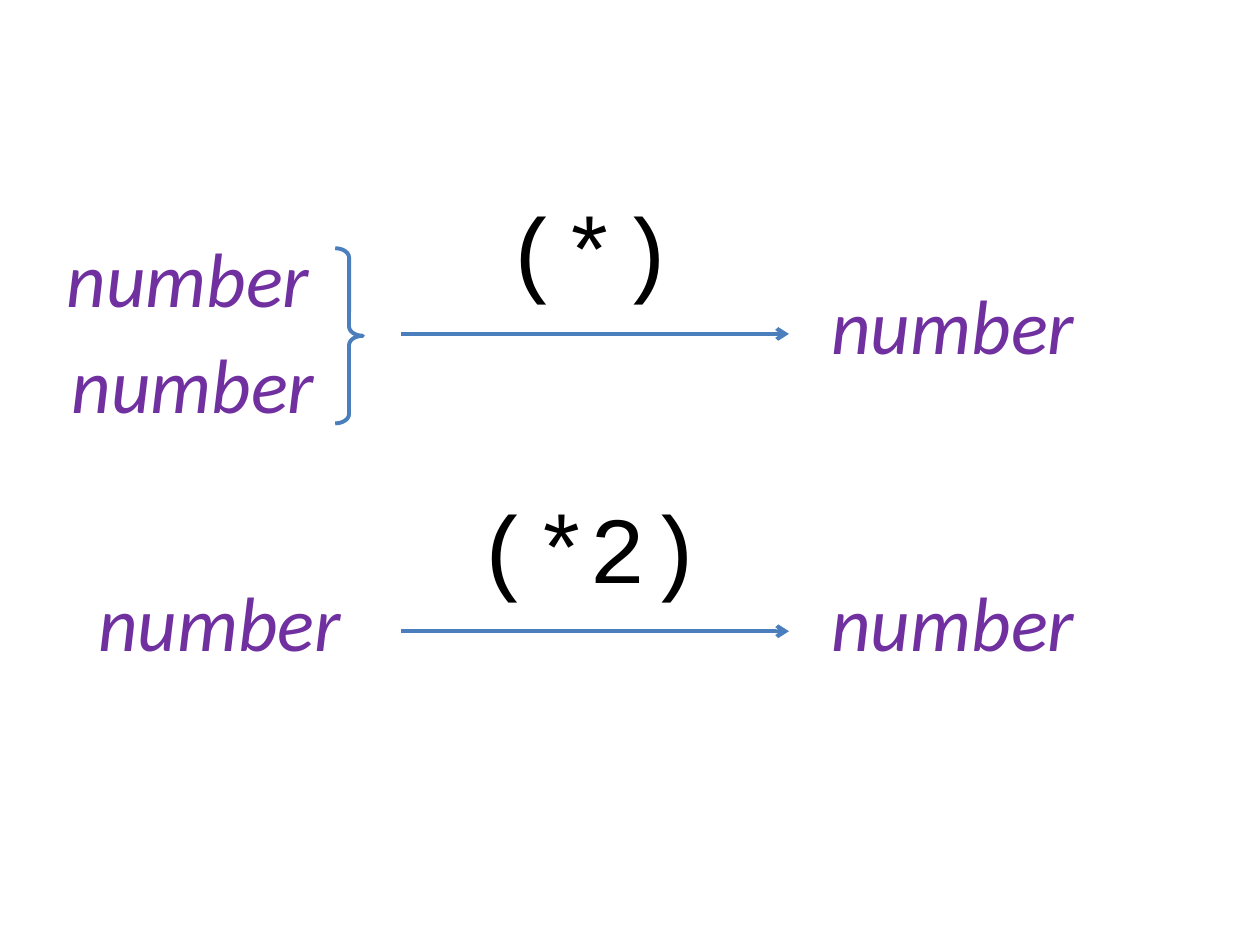
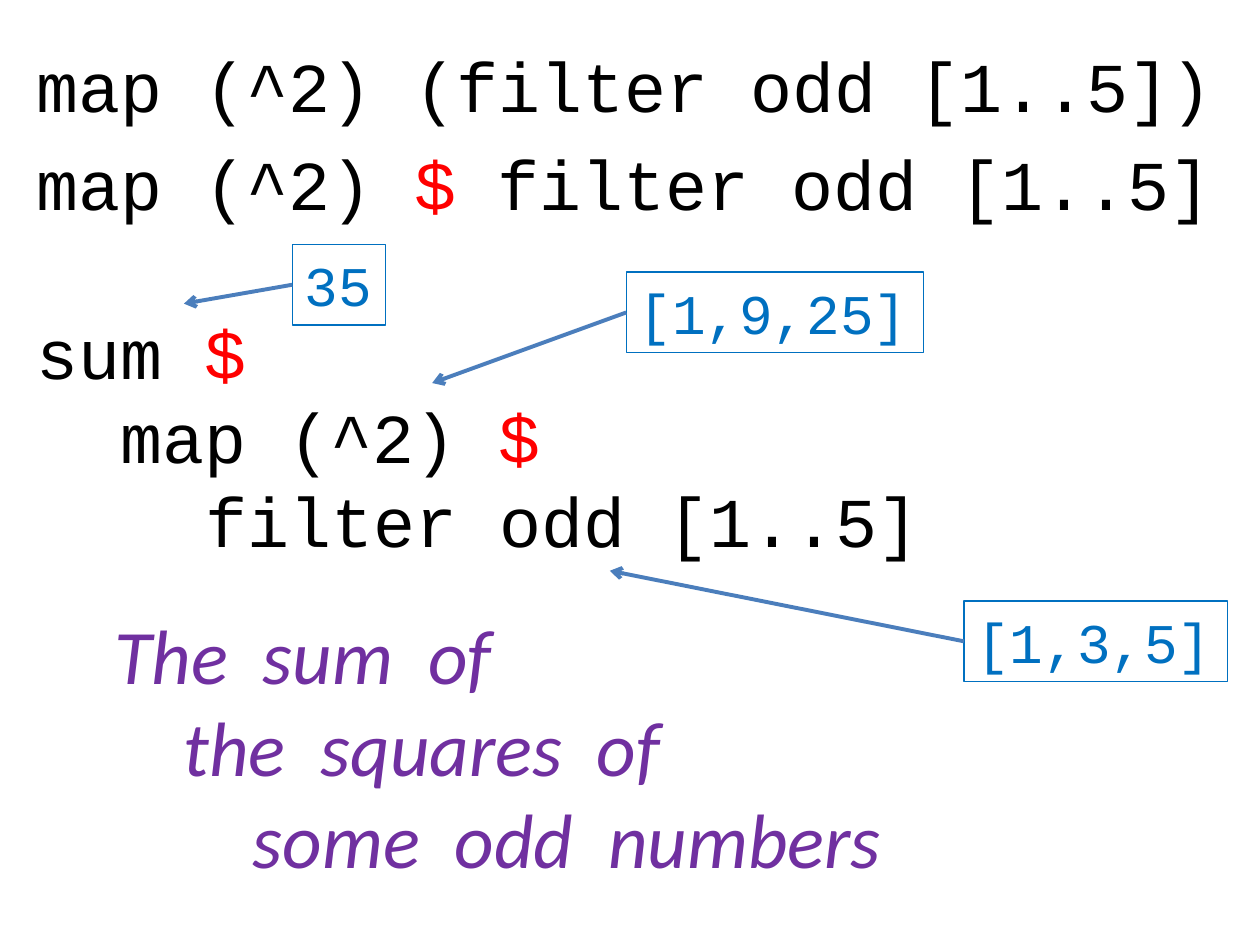
from dataclasses import dataclass
from pptx import Presentation, util as u
from pptx.dml.color import RGBColor
from pptx.enum import shapes, text
from pptx.oxml import parse_xml
from pptx.oxml.ns import nsdecls

BLACK = RGBColor(0x00, 0x00, 0x00)
RED = RGBColor(0xFF, 0x00, 0x00)
PURPLE = RGBColor(0x70, 0x30, 0xA0)
BLUE = RGBColor(0x00, 0x70, 0xC0)
STEEL = RGBColor(0x4B, 0x7E, 0xBC)
CODE, PROSE = "Courier New", "Calibri"
COLUMNS, ROWS = 10, 7.5  # the slide grid, in one-inch cells
INSET = 0.2  # left and right text margins together
WORD_W, WORD_H = 2.19, 0.84


@dataclass
class Box:
    left: float
    top: float
    width: float
    height: float

    @property
    def middle(self):
        return self.top + self.height / 2

    @property
    def right(self):
        return self.left + self.width

    def cells(self):
        return [u.Inches(v) for v in (self.left, self.top, self.width, self.height)]


def write(slide, box, lines, font, size, color, italic=False, step=0):
    """Write lines, each indented by one more step; every $ is red."""
    label = slide.shapes.add_textbox(*box.cells())
    frame = label.text_frame
    frame.word_wrap = step > 0
    frame.auto_size = text.MSO_AUTO_SIZE.SHAPE_TO_FIT_TEXT
    for level, line in enumerate(lines):
        paragraph = frame.add_paragraph() if level else frame.paragraphs[0]
        paragraph.font.name, paragraph.font.size = font, u.Pt(size)
        paragraph.font.italic = italic
        paragraph.font.color.rgb = color
        if level and step:
            paragraph._p.get_or_add_pPr().set("marL", str(u.Inches(level * step)))
        before, dollar, after = line.partition("$")
        for part, shade in ((before, color), (dollar, RED), (after, color)):
            if part:
                run = paragraph.add_run()
                run.text = part
                run.font.color.rgb = shade
    return label


def arrow(slide, start, end):
    line = slide.shapes.add_connector(
        shapes.MSO_CONNECTOR.STRAIGHT, *[u.Inches(v) for v in (*start, *end)])
    line.line.color.rgb = STEEL
    line.line.width = u.Pt(2.25)
    line.line._get_or_add_ln().append(
        parse_xml(f'<a:tailEnd {nsdecls("a")} type="arrow"/>'))
    line._element.spPr.append(parse_xml(f'<a:effectLst {nsdecls("a")}/>'))


def word(slide, left, top):
    write(slide, Box(left, top, WORD_W, WORD_H), ["number"], PROSE, 44, PURPLE, True)


def brace(slide, box):
    bracket = slide.shapes.add_shape(shapes.MSO_SHAPE.RIGHT_BRACE, *box.cells())
    bracket.adjustments[0] = 0.336
    bracket.shadow.inherit = False
    bracket.fill.background()
    bracket.line.color.rgb = STEEL
    bracket.line.width = u.Pt(2.25)


def mapping(slide, box, operator, input_lefts):
    """Inputs, an arrow named by its operator, and the result."""
    start, end = box.left + box.width / 3, box.left + 0.706 * box.width
    operator_w = 0.455 * len(operator) + INSET
    write(slide, Box((start + end - operator_w) / 2 - 0.03, box.top, operator_w, 1.01),
          [operator], CODE, 54, BLACK)
    arrow(slide, (start, box.middle), (end, box.middle))
    count = len(input_lefts)
    stack_top = box.middle - count * WORD_H / 2 - (0.03 if count > 1 else 0.08)
    for row, left in enumerate(input_lefts):
        word(slide, left, stack_top + row * WORD_H)
    if count > 1:
        brace(slide, Box(box.left + 0.27 * box.width, box.middle - 0.68, 0.22, 1.39))
    word(slide, box.right - WORD_W, box.middle - 0.5)


def callout(slide, left, top, value, target):
    """A framed value with an arrow to the code that yields it."""
    box = Box(left, top, 0.27 * len(value) + INSET, 0.64)
    frame = write(slide, box, [value], CODE, 32, BLUE)
    frame.line.color.rgb = BLUE
    frame.line.width = u.Pt(0.75)
    arrow(slide, (box.left, box.middle), target)


def operators_slide(slide):
    band_h = 2.36
    bands = [("(*)", (0.43, 0.47)), ("(*2)", (0.68,))]
    for row, (operator, input_lefts) in enumerate(bands):
        mapping(slide, Box(0.43, 1.47 + row * band_h, 8.26, band_h), operator, input_lefts)


def application_slide(slide):
    # Brackets against the dollar operator
    for row, code in enumerate(["map (^2) (filter odd [1..5])",
                                "map (^2) $ filter odd [1..5]"]):
        write(slide, Box(0.19, 0.29 + 0.78 * row, 9.63, 0.77), [code], CODE, 40, BLACK)
    # The pipeline in code, then in words
    write(slide, Box(0.19, 2.41, 7.27, 2.12),
          ["sum $", "map (^2) $", "filter odd [1..5]"], CODE, 40, BLACK, step=0.67)
    write(slide, Box(0.81, 4.77, 6.36, 2.32),
          ["The  sum  of", "the  squares  of", "some  odd  numbers"],
          PROSE, 44, PURPLE, True, step=0.55)
    # Intermediate values
    callout(slide, 7.65, 4.77, "[1,3,5]", (4.84, 4.53))
    callout(slide, 4.97, 2.16, "[1,9,25]", (3.43, 3.04))
    callout(slide, 2.32, 1.94, "35", (1.46, 2.41))


deck = Presentation()
deck.slide_width, deck.slide_height = u.Inches(COLUMNS), u.Inches(ROWS)
blank = deck.slide_layouts[6]
for build in (operators_slide, application_slide):
    build(deck.slides.add_slide(blank))
deck.save("out.pptx")
